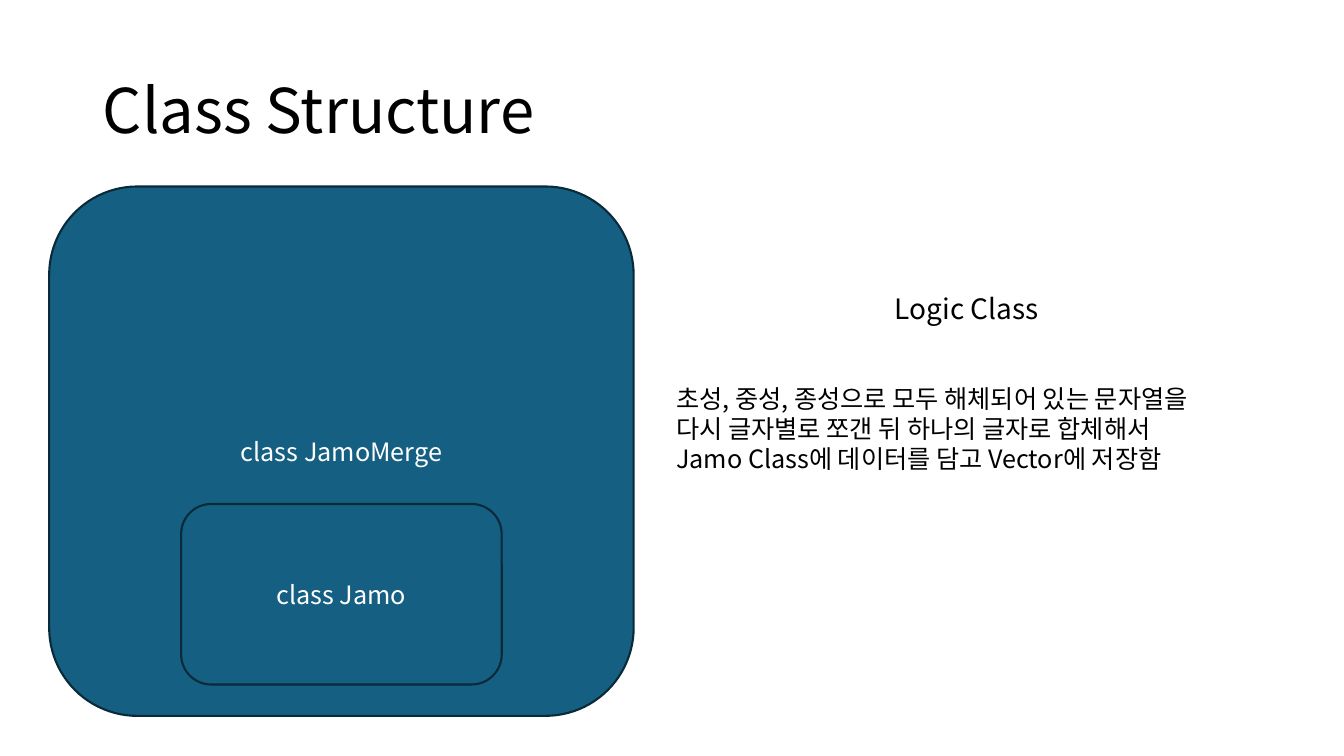
from dataclasses import dataclass

from lxml import etree
from pptx import Presentation
from pptx import util as u
from pptx.dml.color import RGBColor
from pptx.enum import shapes, text
from pptx.oxml.ns import qn


@dataclass(frozen=True)
class Theme:
    font: str = "Noto Sans CJK KR"
    ink: str = "000000"
    light: str = "FFFFFF"
    fill: str = "156082"
    line: str = "092A39"
    line_width: float = 1.5
    title: int = 44
    heading: int = 20
    body: int = 18


THEME = Theme()


def write(tf, lines, size, color, frame=None, **paragraph):
    for name, value in (frame or {}).items():
        setattr(tf, name, value)
    for i, line in enumerate(lines):
        p = tf.paragraphs[0] if i == 0 else tf.add_paragraph()
        for name, value in paragraph.items():
            setattr(p, name, value)
        r = p.add_run()
        r.text = line
        for name, value in {"size": u.Pt(size), "name": THEME.font}.items():
            setattr(r.font, name, value)
        r.font.color.rgb = RGBColor.from_string(color)
        ea = etree.SubElement(r.font._element, qn("a:ea"))
        ea.set("typeface", THEME.font)


def add_title(s, box, title):
    sp = s.shapes.title
    for name, value in zip(("left", "top", "width", "height"), box):
        setattr(sp, name, u.Cm(value))
    frame = {"vertical_anchor": text.MSO_ANCHOR.MIDDLE,
             "auto_size": text.MSO_AUTO_SIZE.NONE, "word_wrap": True}
    write(sp.text_frame, [title], THEME.title, THEME.ink, frame,
          alignment=text.PP_ALIGN.LEFT, line_spacing=0.9)


def add_class_box(s, box, label):
    sp = s.shapes.add_shape(shapes.MSO_SHAPE.ROUNDED_RECTANGLE, *map(u.Cm, box))
    sp.shadow.inherit = False
    sp.fill.solid()
    sp.fill.fore_color.rgb = RGBColor.from_string(THEME.fill)
    sp.line.color.rgb = RGBColor.from_string(THEME.line)
    sp.line.width = u.Pt(THEME.line_width)
    frame = {"vertical_anchor": text.MSO_ANCHOR.MIDDLE, "word_wrap": True}
    write(sp.text_frame, [label], THEME.body, THEME.light, frame,
          alignment=text.PP_ALIGN.CENTER)


def add_class_diagram(s, box, outer, inner):
    left, top, width, height = box
    inner_width, inner_height, bottom_gap = 8.08, 4.55, 0.79
    add_class_box(s, box, outer)
    add_class_box(s, (left + (width - inner_width) / 2,
                      top + height - bottom_gap - inner_height,
                      inner_width, inner_height), inner)


def add_description(s, box, heading, lines):
    left, top, width, height = box
    heading_offset, heading_height, body_offset = 5.51, 1.12, 2.29
    parts = (
        ((left + heading_offset, top, 6.71, heading_height),
         [heading], THEME.heading),
        ((left, top + body_offset, width, height - body_offset),
         lines, THEME.body),
    )
    for area, content, size in parts:
        sp = s.shapes.add_textbox(*map(u.Cm, area))
        write(sp.text_frame, content, size, THEME.ink, {"word_wrap": True},
              line_spacing=u.Pt(size * 1.19))


def main():
    prs = Presentation()
    prs.slide_width, prs.slide_height = u.Cm(33.87), u.Cm(19.05)
    s = prs.slides.add_slide(prs.slide_layouts.get_by_name("Title Only"))
    add_title(s, (2.34, 1.02, 29.21, 3.68), "Class Structure")
    add_description(s, (16.79, 7.24, 15.16, 4.86), "Logic Class", [
        "초성, 중성, 종성으로 모두 해체되어 있는 문자열을",
        "다시 글자별로 쪼갠 뒤 하나의 글자로 합체해서",
        "Jamo Class에 데이터를 담고 Vector에 저장함",
    ])
    add_class_diagram(s, (1.24, 4.7, 14.73, 13.34),
                      "class JamoMerge", "class Jamo")
    prs.save("out.pptx")


if __name__ == "__main__":
    main()
